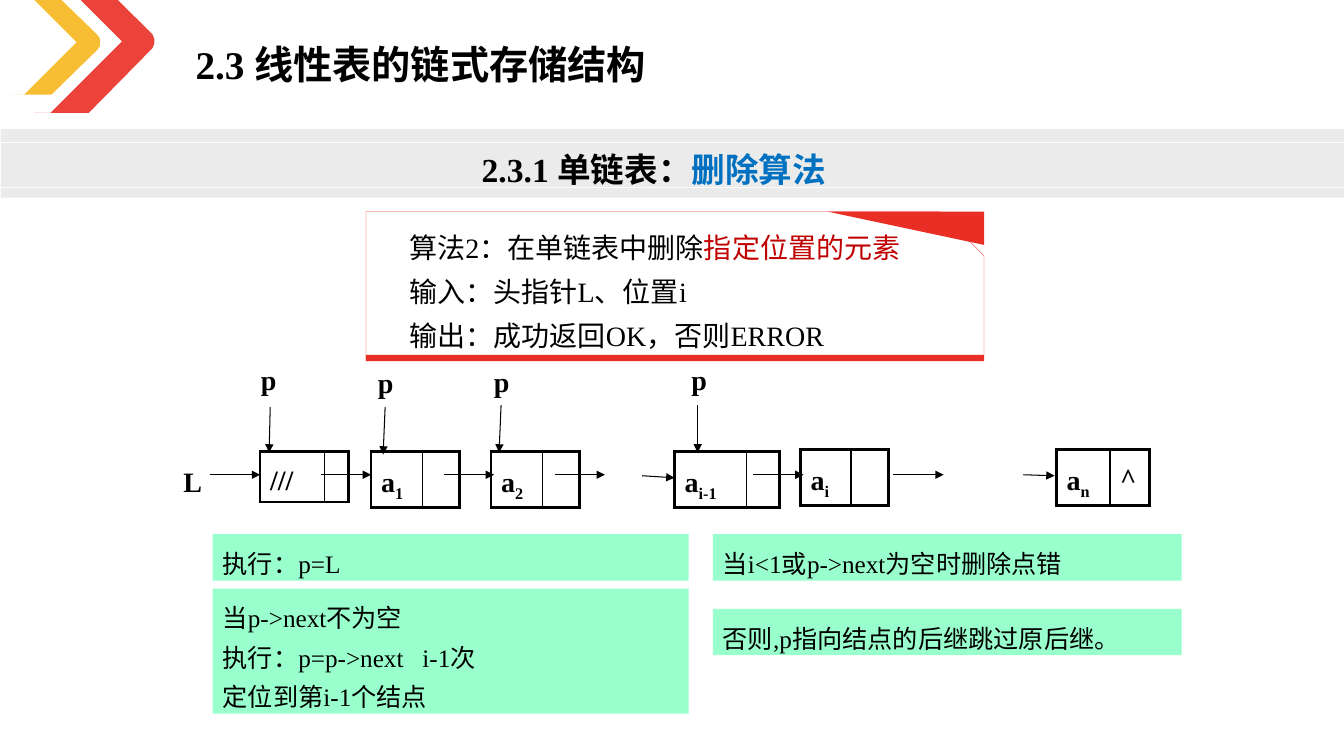
from dataclasses import dataclass

from lxml import etree
from pptx import Presentation
from pptx import util as u
from pptx.dml.color import RGBColor
from pptx.enum import shapes, text
from pptx.oxml.ns import qn

PX = u.Inches(1) // 100  # one px is a hundredth of an inch
FONT = "Times New Roman"
BLACK, WHITE, RED, YELLOW = "000000", "FFFFFF", "E92E25", "F7B61D"
GREY, MINT, DARK_RED, BLUE = "404040", "99FFCC", "C00000", "0070C0"


@dataclass
class Run:
    text: str
    colour: str = BLACK
    subscript: bool = False


@dataclass
class Node:
    left: int
    top: int
    widths: tuple[int, int]
    data: list[Run]
    link: str = ""


@dataclass
class Arrow:
    start: tuple[int, int]
    end: tuple[int, int]


@dataclass
class Note:
    left: int
    top: int
    width: int
    height: int
    lines: list[str]


@dataclass
class Chevron:
    before: list[tuple[int, int]]
    tip: list[tuple[int, int]]  # cubic Bezier control points
    after: list[tuple[int, int]]
    colour: str


NODES = [
    Node(258, 448, (64, 24), [Run("///")]),
    Node(368, 448, (51, 37), [Run("a"), Run("1", subscript=True)]),
    Node(487, 448, (51, 37), [Run("a"), Run("2", subscript=True)]),
    Node(669, 448, (71, 33), [Run("a"), Run("i-1", subscript=True)]),
    Node(794, 446, (50, 37), [Run("a"), Run("i", subscript=True)]),
    Node(1048, 446, (53, 39), [Run("a"), Run("n", subscript=True)], "^"),
]
LINK_ARROWS = [Arrow((x, 471), (x + 50, 471)) for x in (318, 440, 550, 747, 886, 208)]
LINK_ARROWS += [Arrow((637, 472), (669, 474)), Arrow((1015, 471), (1046, 472))]
POINTER_ARROWS = [
    Arrow((268, 404), (267, 449)),
    Arrow((382, 404), (380, 451)),
    Arrow((497, 402), (495, 449)),
    Arrow((692, 402), (692, 449)),
]
POINTER_LABELS = [("L", 172, 446), ("p", 249, 345), ("p", 365, 348), ("p", 480, 347), ("p", 676, 345)]
NOTES = [
    Note(211, 530, 472, 46, ["执行：p=L"]),
    Note(211, 584, 472, 124, ["当p->next不为空", "执行：p=p->next   i-1次", "定位到第i-1个结点"]),
    Note(707, 530, 465, 46, ["当i<1或p->next为空时删除点错"]),
    Note(707, 604, 465, 46, ["否则,p指向结点的后继跳过原后继。"]),
]
CHEVRONS = [
    Chevron([(34, 112), (88, 112)], [(149, 50), (154, 45), (154, 37), (149, 32)],
            [(117, 0), (80, 0), (121, 41), (50, 112)], RED),
    Chevron([(12, 94), (51, 94)], [(97, 49), (100, 45), (100, 39), (97, 35)],
            [(61, 0), (34, 0), (76, 42), (24, 94)], YELLOW),
]


def rgb(colour: str) -> RGBColor:
    return RGBColor.from_string(colour)


def emu(*lengths: int) -> list[int]:
    return [length * PX for length in lengths]


def write(frame, lines: list[list[Run]], size: int, bold: bool = False,
          align=text.PP_ALIGN.LEFT) -> None:
    for index, line in enumerate(lines):
        paragraph = frame.add_paragraph() if index else frame.paragraphs[0]
        paragraph.alignment = align
        paragraph.line_spacing = 1.3
        paragraph.space_before = u.Pt(0)
        for part in line:
            run = paragraph.add_run()
            run.text = part.text
            run.font.name, run.font.size, run.font.bold = FONT, u.Pt(size), bold
            run.font.color.rgb = rgb(part.colour)
            if part.subscript:
                run.font._element.set("baseline", "-25000")


def fit(frame) -> None:
    frame.word_wrap = True
    frame.auto_size = text.MSO_AUTO_SIZE.SHAPE_TO_FIT_TEXT
    frame.vertical_anchor = text.MSO_ANCHOR.TOP


def paint(shape, fill: str, opacity: int = 100):
    shape.shadow.inherit = False
    shape.line.fill.background()
    shape.fill.solid()
    shape.fill.fore_color.rgb = rgb(fill)
    if opacity < 100:
        colour = shape.element.spPr.find(qn("a:solidFill"))[0]
        etree.SubElement(colour, qn("a:alpha"), val=str(opacity * 1000))
    return shape


def add_block(slide, kind, box: tuple[int, ...], fill: str, opacity: int = 100):
    return paint(slide.shapes.add_shape(kind, *emu(*box)), fill, opacity)


def add_outline(slide, points: list[tuple[float, float]], fill: str, opacity: int = 100):
    builder = slide.shapes.build_freeform(*points[0], scale=PX)
    builder.add_line_segments(points[1:], close=True)
    return paint(builder.convert_to_shape(), fill, opacity)


def curve(controls: list[tuple[int, int]], steps: int = 8) -> list[tuple[float, float]]:
    points = []
    for step in range(steps + 1):
        t = step / steps
        weights = ((1 - t) ** 3, 3 * t * (1 - t) ** 2, 3 * t * t * (1 - t), t ** 3)
        points.append(tuple(sum(w * p[axis] for w, p in zip(weights, controls)) for axis in (0, 1)))
    return points


def add_line(slide, line: Arrow, colour: str, width: float, head: bool = False) -> None:
    connector = slide.shapes.add_connector(
        shapes.MSO_CONNECTOR.STRAIGHT, *emu(*line.start, *line.end))
    connector.line.color.rgb = rgb(colour)
    connector.line.width = u.Pt(width)
    properties = connector.element.spPr
    if head:
        etree.SubElement(properties.find(qn("a:ln")), qn("a:tailEnd"), type="triangle")
    etree.SubElement(properties, qn("a:effectLst"))


def set_borders(cell, **widths: float) -> None:
    properties = cell._tc.get_or_add_tcPr()
    for side in "LRTB":
        border = etree.SubElement(properties, qn(f"a:ln{side}"), w=str(u.Pt(widths[side])))
        fill = etree.SubElement(border, qn("a:solidFill"))
        etree.SubElement(fill, qn("a:srgbClr"), val=BLACK)
    cell.fill.background()


def add_node(slide, node: Node) -> None:
    box = emu(node.left, node.top, sum(node.widths), 47)
    table = slide.shapes.add_table(1, 2, *box).table
    table.first_row = table.horz_banding = False
    for column, width in zip(table.columns, node.widths):
        column.width = width * PX
    data, link = table.cell(0, 0), table.cell(0, 1)
    set_borders(data, L=2.25, R=1, T=2.25, B=2.25)
    set_borders(link, L=1, R=2.25, T=2.25, B=2.25)
    write(data.text_frame, [node.data], 20, True)
    if node.link:
        write(link.text_frame, [[Run(node.link)]], 20, True)


def add_label(slide, box: tuple[int, ...], line: list[Run], size: int, align=text.PP_ALIGN.LEFT) -> None:
    frame = slide.shapes.add_textbox(*emu(*box)).text_frame
    fit(frame)
    write(frame, [line], size, True, align)


def fill_placeholder(slide, shape, box: tuple[int, ...], lines: list[list[Run]],
                     size: int, bold: bool = False) -> None:
    shape.left, shape.top, shape.width, shape.height = emu(*box)
    fit(shape.text_frame)
    write(shape.text_frame, lines, size, bold)
    for paragraph in shape.text_frame.paragraphs:
        properties = paragraph._p.get_or_add_pPr()
        properties.set("marL", "0")
        properties.set("indent", "0")
        etree.SubElement(properties, qn("a:buNone"))
    slide.shapes.element.append(shape.element)  # bring to front


def main() -> None:
    presentation = Presentation()
    presentation.slide_width, presentation.slide_height = emu(1333, 750)
    slide = presentation.slides.add_slide(presentation.slide_layouts[1])
    title, body = slide.placeholders
    kinds = shapes.MSO_SHAPE

    # Algorithm card
    card = add_block(slide, kinds.SNIP_1_RECTANGLE, (363, 210, 613, 148), WHITE)
    card.adjustments[0] = 0.294
    card.line.color.rgb, card.line.width = rgb(RED), u.Pt(0.25)
    add_block(slide, kinds.RECTANGLE, (363, 352, 613, 6), RED)
    add_outline(slide, [(976, 210), (821, 210), (976, 243)], RED)

    # Heading band and corner chevrons
    add_block(slide, kinds.RECTANGLE, (1, 128, 1333, 68), GREY, 10)
    for y in (141, 186):
        add_line(slide, Arrow((1, y), (1335, y)), WHITE, 0.5)
    for chevron in CHEVRONS:
        points = chevron.before + curve(chevron.tip) + chevron.after
        add_outline(slide, points, chevron.colour, 90)

    # Linked list
    for node in NODES:
        add_node(slide, node)
    for arrow in LINK_ARROWS + POINTER_ARROWS:
        add_line(slide, arrow, BLACK, 0.75, head=True)
    for name, left, top in POINTER_LABELS:
        add_label(slide, (left, top, 39, 50), [Run(name)], 20)

    # Step notes
    for note in NOTES:
        shape = add_block(slide, kinds.RECTANGLE, (note.left, note.top, note.width, note.height), MINT)
        fit(shape.text_frame)
        write(shape.text_frame, [[Run(line)] for line in note.lines], 18)

    # Headings and algorithm text
    fill_placeholder(slide, body, (396, 214, 913, 137), [
        [Run("算法2：在单链表中删除"), Run("指定位置的元素", DARK_RED)],
        [Run("输入：头指针L、位置i")],
        [Run("输出：成功返回OK，否则ERROR")],
    ], 20)
    fill_placeholder(slide, title, (184, 21, 674, 65), [[Run("2.3 线性表的链式存储结构")]], 28, True)
    add_label(slide, (56, 131, 1185, 57), [Run("2.3.1 单链表："), Run("删除算法", BLUE)], 24,
              text.PP_ALIGN.CENTER)

    presentation.save("out.pptx")


if __name__ == "__main__":
    main()
